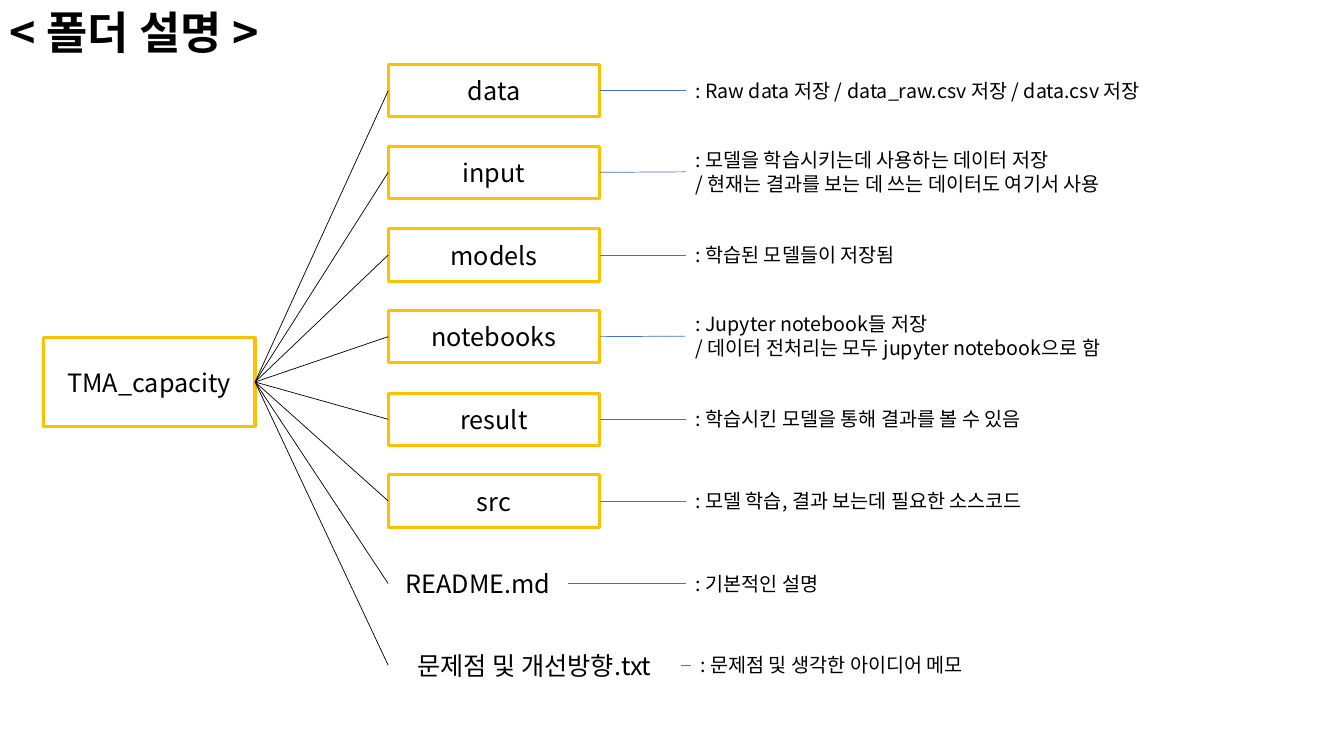
from pptx import Presentation
from pptx.dml.color import RGBColor
from pptx.enum.shapes import MSO_CONNECTOR as Connector, MSO_SHAPE as Shape
from pptx.enum.text import MSO_ANCHOR as Anchor, PP_ALIGN as Align
from pptx.oxml.ns import qn
from pptx.util import Pt
from lxml.etree import SubElement

PX = 9144  # EMU per px, 100 px to the inch
FONT = "Noto Sans CJK KR"
BLACK, WHITE, AMBER, BLUE = "000000", "FFFFFF", "FFC000", "4472C4"
TOP, RIGHT, BOTTOM, LEFT = 0, 3, 2, 1

# name, box width, is a folder, description lines, description left and width
ENTRIES = [
    ("data", 210, True, [": Raw data 저장 / data_raw.csv 저장 / data.csv 저장"], 680, 475),
    ("input", 210, True, [": 모델을 학습시키는데 사용하는 데이터 저장",
                          "/ 현재는 결과를 보는 데 쓰는 데이터도 여기서 사용"], 680, 644),
    ("models", 210, True, [": 학습된 모델들이 저장됨"], 680, 241),
    ("notebooks", 210, True, [": Jupyter notebook들 저장",
                              "/ 데이터 전처리는 모두 jupyter notebook으로 함"], 680, 610),
    ("result", 210, True, [": 학습시킨 모델을 통해 결과를 볼 수 있음"], 680, 387),
    ("src", 210, True, [": 모델 학습, 결과 보는데 필요한 소스코드"], 680, 384),
    ("README.md", 178, False, [": 기본적인 설명"], 680, 156),
    ("문제점 및 개선방향.txt", 290, False, [": 문제점 및 생각한 아이디어 메모"], 685, 314),
]


def color(hex_value):
    return RGBColor.from_string(hex_value)


def emu(*lengths):
    return [length * PX for length in lengths]


def write(frame, lines, size, bold=False, align=Align.LEFT):
    frame.word_wrap = True
    for i, line in enumerate(lines):
        paragraph = frame.paragraphs[0] if i == 0 else frame.add_paragraph()
        paragraph.alignment = align
        run = paragraph.add_run()
        run.text = line
        font = run.font
        font.size, font.bold, font.name = Pt(size), bold, FONT
        font.color.rgb = color(BLACK)
        SubElement(run._r.get_or_add_rPr(), qn("a:ea")).set("typeface", FONT)


def add_note(slide, box, lines, size=14, bold=False):
    note = slide.shapes.add_textbox(*emu(*box))
    write(note.text_frame, lines, size, bold)
    return note


def add_node(slide, box, name, folder=True):
    node = slide.shapes.add_shape(Shape.RECTANGLE, *emu(*box))
    node.shadow.inherit = False
    if folder:
        node.fill.solid()
        node.fill.fore_color.rgb = color(WHITE)
    else:
        node.fill.background()
    node.line.color.rgb = color(AMBER if folder else WHITE)
    node.line.width = Pt(2.25 if folder else 1)
    node.text_frame.vertical_anchor = Anchor.MIDDLE
    write(node.text_frame, [name], 18, align=Align.CENTER)
    return node


def link(slide, start, end, line_color):
    """Join the right side of one part to the left side of the next."""
    connector = slide.shapes.add_connector(Connector.STRAIGHT, 0, 0, 0, 0)
    connector.begin_connect(start, RIGHT)
    connector.end_connect(end, LEFT)
    connector.line.color.rgb = color(line_color)
    connector.line.width = Pt(0.5)
    SubElement(connector._element.spPr, qn("a:effectLst"))


def add_tree(slide, left, top, root):
    """Stack the entries from the given corner, each linked to the root."""
    node_height, two_rows = 52, 163
    for i, (name, width, folder, lines, note_left, note_width) in enumerate(ENTRIES):
        row_top = top + i * two_rows // 2
        node = add_node(slide, (left, row_top, width, node_height), name, folder)
        note_height = 34 if len(lines) == 1 else 57
        note_top = row_top + (node_height - note_height) // 2
        note = add_note(slide, (note_left, note_top, note_width, note_height), lines)
        link(slide, root, node, BLACK)
        link(slide, node, note, BLUE)


def main():
    deck = Presentation()
    deck.slide_width, deck.slide_height = emu(1333, 750)
    slide = deck.slides.add_slide(deck.slide_layouts[6])
    # Title
    add_note(slide, (0, 0, 312, 64), ["< 폴더 설명 >"], 32, True)
    # Folder tree
    root = add_node(slide, (43, 335, 210, 88), "TMA_capacity")
    add_tree(slide, 385, 64, root)
    deck.save("out.pptx")


if __name__ == "__main__":
    main()
